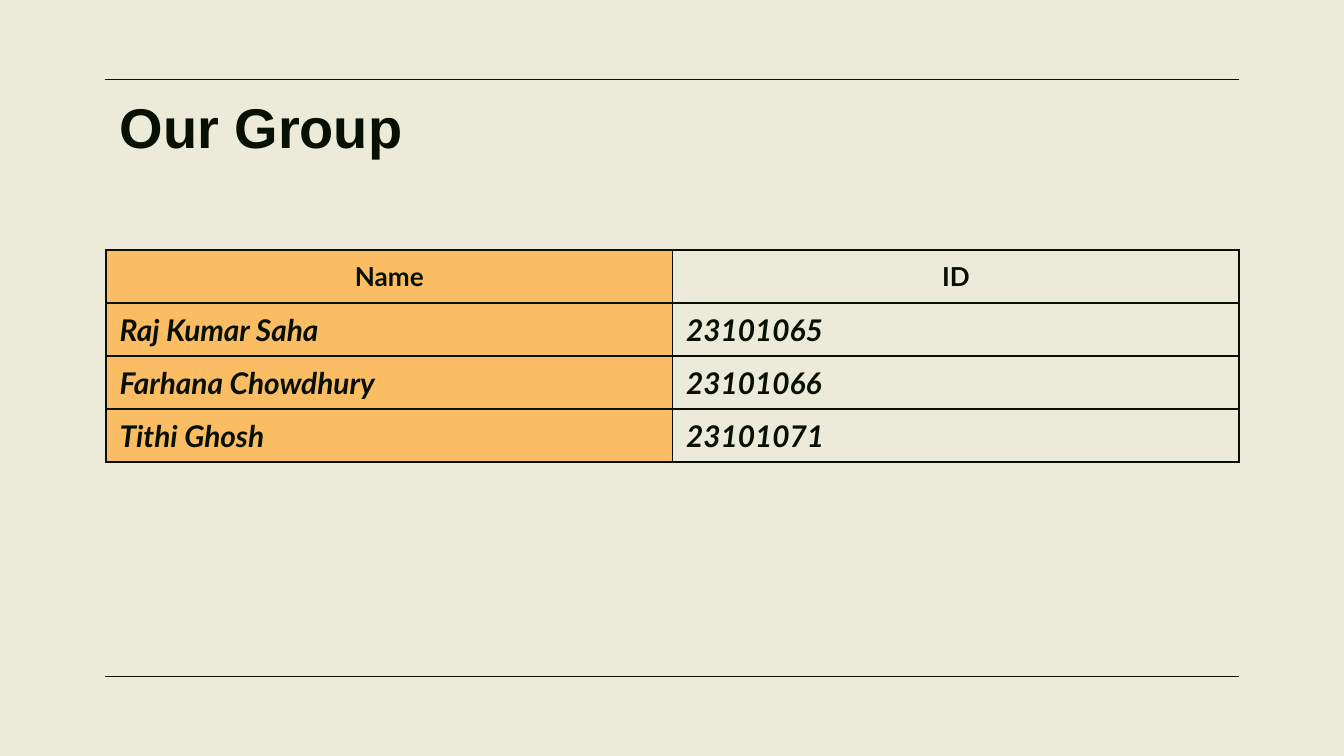
from lxml.etree import SubElement
from pptx import Presentation
from pptx.dml.color import RGBColor
from pptx.enum.shapes import MSO_CONNECTOR as Connector
from pptx.enum.text import MSO_ANCHOR as Anchor, PP_ALIGN as Align
from pptx.oxml.ns import qn
from pptx.util import Inches, Pt

TITLE = "Our Group"
MEMBERS = [
    ("Name", "ID"),
    ("Raj Kumar Saha", "23101065"),
    ("Farhana Chowdhury", "23101066"),
    ("Tithi Ghosh", "23101071"),
]
INK, PAPER, ORANGE = "081004", "ECEBDA", "FABD63"
WIDTH = 10
HEIGHT = WIDTH * 9 / 16
MARGIN = 0.78
RULE_TOP = 0.59
CONTENT_LEFT, CONTENT_WIDTH = 0.79, 8.43
TABLE_TOP, TABLE_HEIGHT = 1.86, 1.58


def color(code):
    return RGBColor.from_string(code)


def style(para, name, size, italic=False):
    for span in para.runs:
        font = span.font
        font.name, font.size = name, Pt(size)
        font.bold, font.italic = True, italic
        font.color.rgb = color(INK)


def add_rule(page, top):
    rule = page.shapes.add_connector(
        Connector.STRAIGHT, Inches(MARGIN), Inches(top),
        Inches(WIDTH - MARGIN), Inches(top))
    rule.line.color.rgb = color(INK)
    rule.line.width = Pt(0.75)
    SubElement(rule.element.spPr, qn("a:effectLst"))


def add_borders(cell):
    properties = cell._tc.get_or_add_tcPr()
    for side in ("lnL", "lnR", "lnT", "lnB"):
        border = SubElement(properties, qn(f"a:{side}"), w=str(Pt(1)))
        fill = SubElement(border, qn("a:solidFill"))
        SubElement(fill, qn("a:srgbClr"), val=INK)


def add_title(page):
    title = page.shapes.title
    title.left, title.top = Inches(CONTENT_LEFT), Inches(RULE_TOP)
    title.width, title.height = Inches(CONTENT_WIDTH), Inches(0.63)
    frame = title.text_frame
    frame.text = TITLE
    frame.vertical_anchor = Anchor.TOP
    frame.margin_left = frame.margin_right = Inches(0.1)
    frame.margin_top = frame.margin_bottom = Inches(0.1)
    para = frame.paragraphs[0]
    para.alignment = Align.LEFT
    style(para, "Arial", 30)


def add_members(page):
    table = page.shapes.add_table(
        len(MEMBERS), len(MEMBERS[0]), Inches(CONTENT_LEFT), Inches(TABLE_TOP),
        Inches(CONTENT_WIDTH), Inches(TABLE_HEIGHT)).table
    table.first_row = table.horz_banding = False
    for row, member in enumerate(MEMBERS):
        for column, text in enumerate(member):
            cell = table.cell(row, column)
            cell.text = text
            cell.vertical_anchor = Anchor.MIDDLE
            cell.margin_left = cell.margin_right = Inches(0.1)
            cell.margin_top = cell.margin_bottom = 0
            add_borders(cell)
            if column == 0:
                cell.fill.solid()
                cell.fill.fore_color.rgb = color(ORANGE)
            else:
                cell.fill.background()
            para = cell.text_frame.paragraphs[0]
            header = row == 0
            para.alignment = Align.CENTER if header else Align.LEFT
            style(para, "Lato", 14 if header else 16, italic=not header)


def main():
    deck = Presentation()
    deck.slide_width, deck.slide_height = Inches(WIDTH), Inches(HEIGHT)
    page = deck.slides.add_slide(deck.slide_layouts[5])
    page.background.fill.solid()
    page.background.fill.fore_color.rgb = color(PAPER)
    for top in (RULE_TOP, HEIGHT - RULE_TOP):
        add_rule(page, top)
    add_title(page)
    add_members(page)
    deck.save("out.pptx")


if __name__ == "__main__":
    main()
